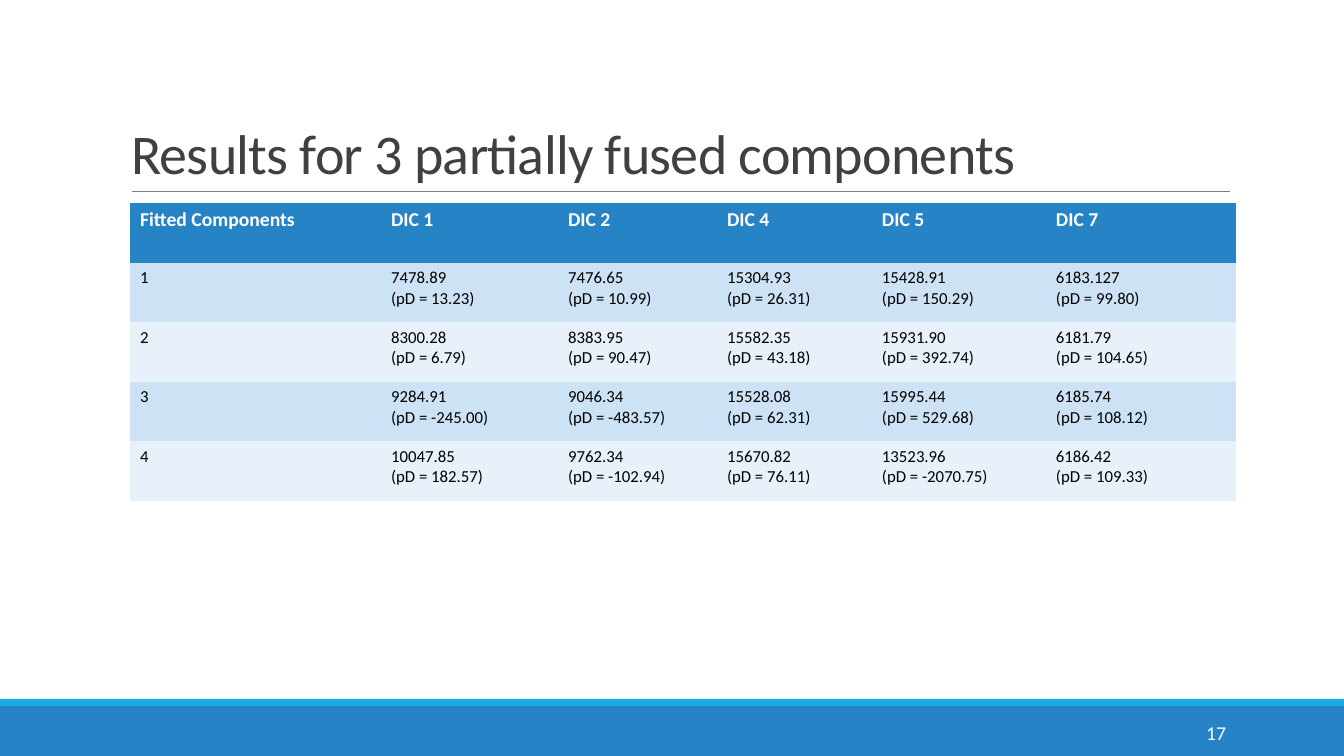
from collections import namedtuple
from dataclasses import dataclass

from lxml.etree import SubElement
from pptx import Presentation
from pptx.dml.color import RGBColor
from pptx.enum.shapes import MSO_CONNECTOR, MSO_SHAPE
from pptx.enum.text import MSO_ANCHOR, PP_ALIGN
from pptx.oxml.ns import qn
from pptx.util import Emu, Pt

EMU_PER_PX = 914400 / 100.8
PLAIN_TABLE_STYLE = "{2D5ABB26-0587-4C30-8999-92F81FD0307C}"

Box = namedtuple("Box", "left top width height")


@dataclass(frozen=True)
class Theme:
    font: str = "Calibri"
    title: str = "404040"
    rule: str = "808080"
    primary: str = "2683C6"
    accent: str = "1CADE4"
    bands: tuple = ("CDE3F5", "E8F1FA")
    light: str = "FFFFFF"
    dark: str = "000000"
    title_size: int = 40
    header_size: int = 14
    body_size: int = 12
    number_size: int = 14


THEME = Theme()

COLUMN_WIDTHS = (251, 177, 159, 155, 174, 190)
HEADINGS = ("Fitted Components", "DIC 1", "DIC 2", "DIC 4", "DIC 5", "DIC 7")
# One row per number of fitted components; each pair is (DIC, pD).
RESULTS = (
    (("7478.89", "13.23"), ("7476.65", "10.99"), ("15304.93", "26.31"),
     ("15428.91", "150.29"), ("6183.127", "99.80")),
    (("8300.28", "6.79"), ("8383.95", "90.47"), ("15582.35", "43.18"),
     ("15931.90", "392.74"), ("6181.79", "104.65")),
    (("9284.91", "-245.00"), ("9046.34", "-483.57"), ("15528.08", "62.31"),
     ("15995.44", "529.68"), ("6185.74", "108.12")),
    (("10047.85", "182.57"), ("9762.34", "-102.94"), ("15670.82", "76.11"),
     ("13523.96", "-2070.75"), ("6186.42", "109.33")),
)


def px(length):
    return Emu(round(length * EMU_PER_PX))


def color(value):
    return RGBColor.from_string(value)


def set_attributes(target, values):
    for name, value in values.items():
        setattr(target, name, value)


def write_text(text_frame, text, size, text_color, bold=False, **paragraph_format):
    """Fill the frame with one paragraph per line of text."""
    text_frame.text = text
    for paragraph in text_frame.paragraphs:
        set_attributes(paragraph, paragraph_format)
        for run in paragraph.runs:
            set_attributes(run.font, {"name": THEME.font, "size": Pt(size), "bold": bold})
            run.font.color.rgb = color(text_color)


def add_title(slide, box, text):
    title = slide.shapes.title
    set_attributes(title, {name: px(value) for name, value in box._asdict().items()})
    set_attributes(title.text_frame, {"vertical_anchor": MSO_ANCHOR.BOTTOM, "word_wrap": True})
    write_text(title.text_frame, text, THEME.title_size, THEME.title,
               alignment=PP_ALIGN.LEFT, line_spacing=0.85)
    for run in title.text_frame.paragraphs[0].runs:
        run._r.get_or_add_rPr().set("spc", "-50")

    rule_y = px(box.top + box.height)
    rule = slide.shapes.add_connector(MSO_CONNECTOR.STRAIGHT, px(box.left + 11), rule_y,
                                      px(box.left + box.width), rule_y)
    rule.line.color.rgb = color(THEME.rule)
    rule.line.width = Pt(0.5)
    SubElement(rule._element.spPr, qn("a:effectLst"))


def fill_cell(cell, text, fill, size, text_color, bold=False):
    cell.fill.solid()
    cell.fill.fore_color.rgb = color(fill)
    write_text(cell.text_frame, text, size, text_color, bold)


def add_results_table(slide, box):
    row_count = len(RESULTS) + 1
    table = slide.shapes.add_table(row_count, len(HEADINGS), *map(px, box)).table
    table._tbl.tblPr.find(qn("a:tableStyleId")).text = PLAIN_TABLE_STYLE
    for column, width in zip(table.columns, COLUMN_WIDTHS):
        column.width = px(width)
    for row in table.rows:
        row.height = px(box.height / row_count)

    for index, heading in enumerate(HEADINGS):
        fill_cell(table.cell(0, index), heading, THEME.primary,
                  THEME.header_size, THEME.light, bold=True)
    for number, results in enumerate(RESULTS, start=1):
        texts = [str(number)] + [f"{dic}\n(pD = {pd})" for dic, pd in results]
        fill = THEME.bands[(number - 1) % len(THEME.bands)]
        for index, text in enumerate(texts):
            fill_cell(table.cell(number, index), text, fill, THEME.body_size, THEME.dark)


def add_footer(slide, box, number):
    stripe_height = 7
    bands = (
        (Box(box.left, box.top + stripe_height, box.width, box.height - stripe_height),
         THEME.primary),
        (Box(box.left, box.top, box.width, stripe_height), THEME.accent),
    )
    for band_box, fill in bands:
        band = slide.shapes.add_shape(MSO_SHAPE.RECTANGLE, *map(px, band_box))
        band.shadow.inherit = False
        band.fill.solid()
        band.fill.fore_color.rgb = color(fill)
        band.line.fill.background()

    number_box = Box(box.left + box.width - 252, box.top + 14, 144, 40)
    text_frame = slide.shapes.add_textbox(*map(px, number_box)).text_frame
    set_attributes(text_frame, {"word_wrap": True, "vertical_anchor": MSO_ANCHOR.MIDDLE})
    write_text(text_frame, number, THEME.number_size, THEME.light, alignment=PP_ALIGN.RIGHT)


def add_results_slide(presentation, box):
    slide = presentation.slides.add_slide(presentation.slide_layouts.get_by_name("Title Only"))
    footer_height = 57
    add_footer(slide, Box(box.left, box.top + box.height - footer_height,
                          box.width, footer_height), "17")
    add_title(slide, Box(box.left + 121, box.top + 31, 1109, 160),
              "Results for 3 partially fused components")
    add_results_table(slide, Box(box.left + 130, box.top + 203, sum(COLUMN_WIDTHS), 298))


def main():
    presentation = Presentation()
    page = Box(0, 0, 1344, 756)
    set_attributes(presentation, {"slide_width": px(page.width), "slide_height": px(page.height)})
    add_results_slide(presentation, page)
    presentation.save("out.pptx")


if __name__ == "__main__":
    main()
